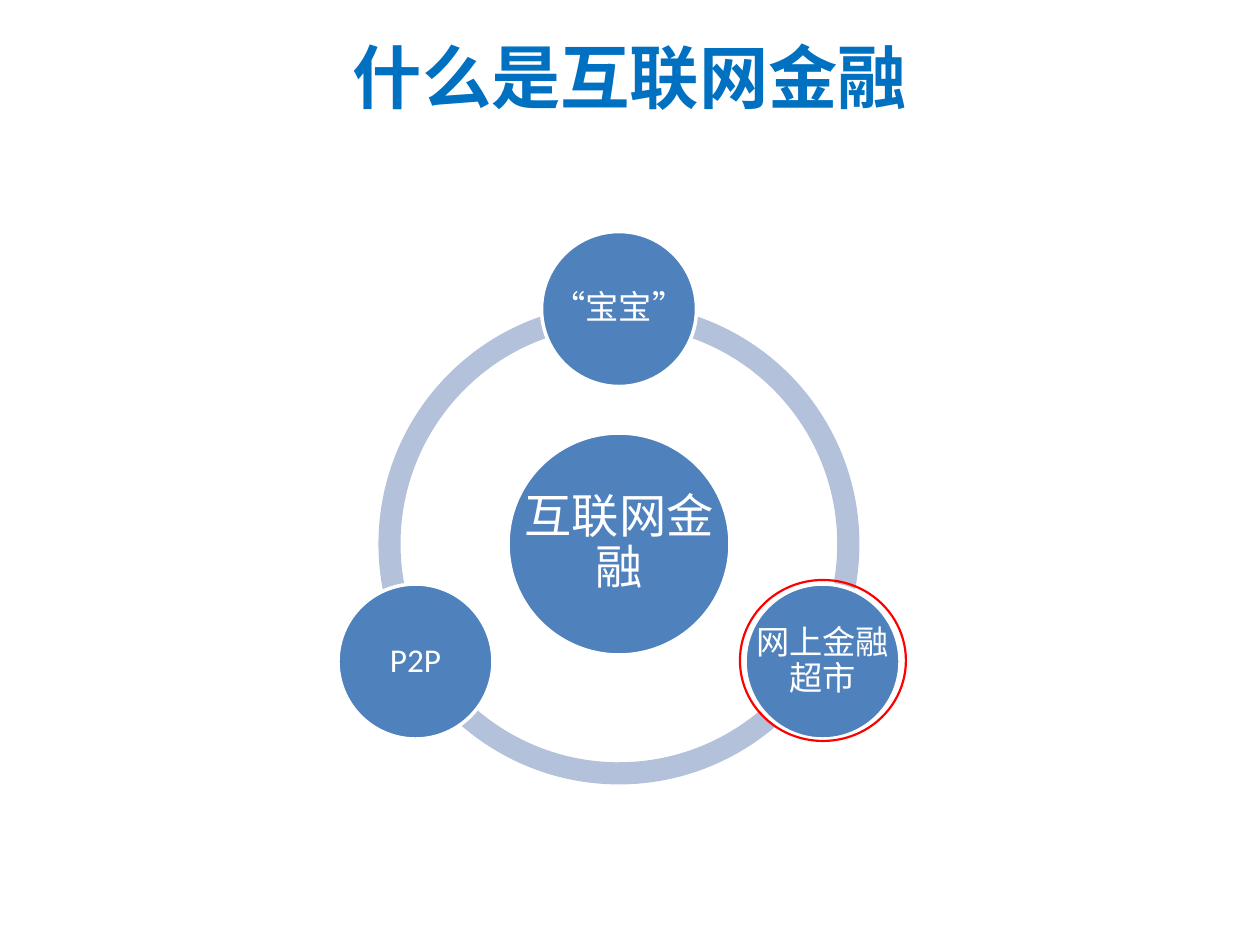
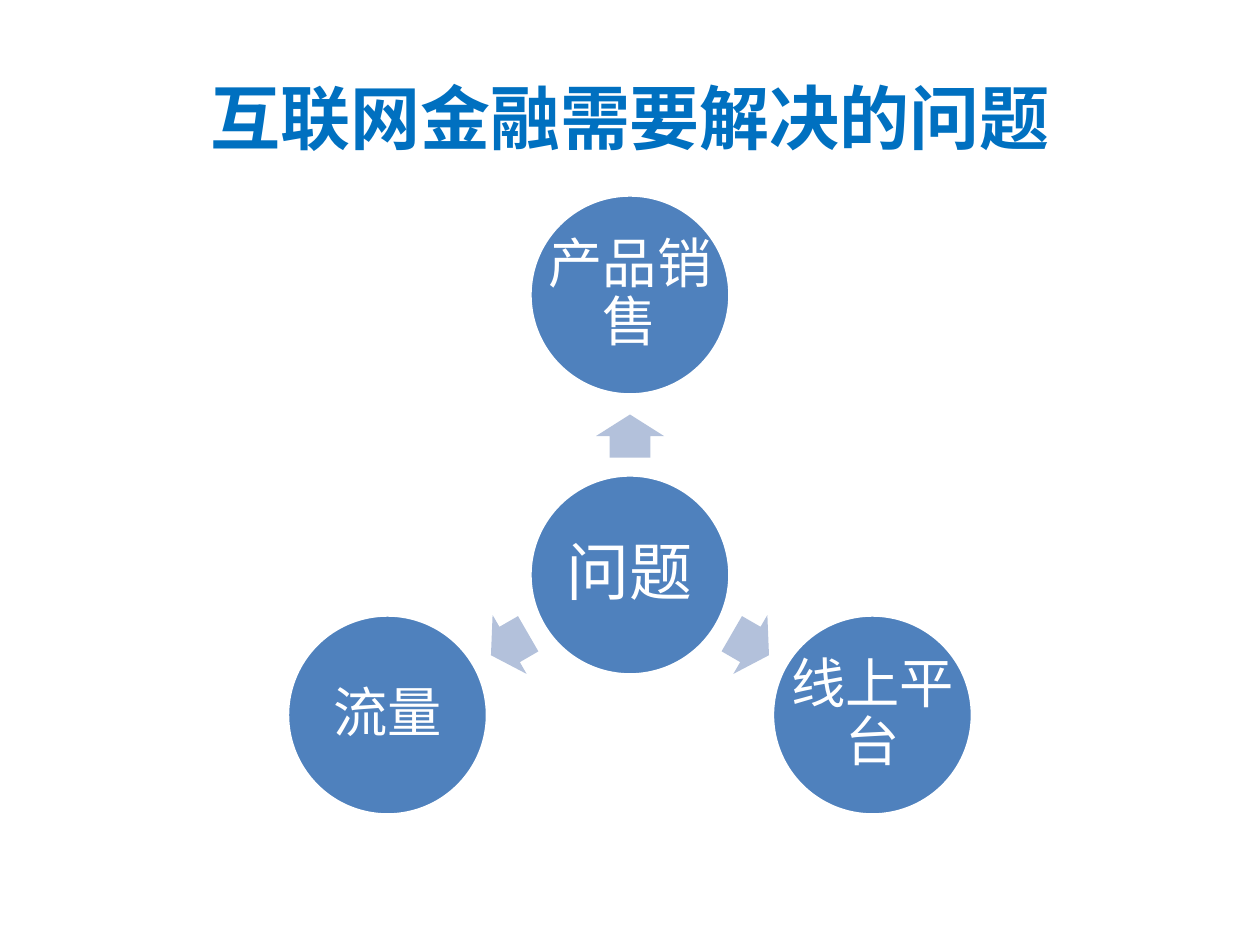
import math

import pptx
import pptx.dml.color
import pptx.enum.shapes
import pptx.enum.text
import pptx.util

# Content: lengths in px (126 to the inch), sizes in points, angles in degrees
FINANCE = {
    "title": ("什么是互联网金融", 39.6, (63, 18, 1134, 116)),
    "center": (619, 544),
    "orbit": 235,
    "hub": ("互联网金融", 222, 27),
    "nodes": ["“宝宝”", "网上金融超市", "P2P"],
    "node_format": (155, 19),
}
PROBLEMS = {
    "title": ("互联网金融需要解决的问题", 40, (63, 38, 1134, 158)),
    "center": (630, 575),
    "orbit": 280,
    "hub": ("问题", 200, 36),
    "nodes": ["产品销售", "线上平台", "流量"],
    "node_format": (200, 31),
}
RING_SIZE, RING_THICKNESS = 481, 0.046
RING_ARCS = [(90, 162), (18, 90), (162, 18)]
HIGHLIGHT = (740, 580, 166, 161)
ARROW_SIZE, ARROW_DISTANCE = (43, 68), 139

# Shared style
FONT = "Calibri"
TITLE_BLUE, NODE_BLUE, PALE_BLUE = "0070C0", "4F81BD", "B3C1DB"
WHITE, RED = "FFFFFF", "FF0000"
SHAPES = pptx.enum.shapes.MSO_SHAPE
SLIDE_SIZE = (1260, 945)
TEXT_INSET = 5


def px(length):
    return pptx.util.Emu(round(length * 914400 / 126))


def color(value):
    return pptx.dml.color.RGBColor.from_string(value)


def centered(center, width, height):
    return center[0] - width / 2, center[1] - height / 2, width, height


def around(center, distance, angle):
    radians = math.radians(angle)
    return (center[0] + distance * math.cos(radians),
            center[1] + distance * math.sin(radians))


def add_shape(slide, kind, box, fill=None, line=None, line_width=2):
    shape = slide.shapes.add_shape(kind, *map(px, box))
    shape.shadow.inherit = False
    if fill:
        shape.fill.solid()
        shape.fill.fore_color.rgb = color(fill)
    else:
        shape.fill.background()
    if line:
        shape.line.color.rgb = color(line)
        shape.line.width = pptx.util.Pt(line_width)
    else:
        shape.line.fill.background()
    return shape


def add_text(slide, text, box, size, text_color, bold=False, spacing=1.0):
    frame = slide.shapes.add_textbox(*map(px, box)).text_frame
    frame_format = {"word_wrap": True,
                    "vertical_anchor": pptx.enum.text.MSO_ANCHOR.MIDDLE}
    for side in ("left", "top", "right", "bottom"):
        frame_format["margin_" + side] = px(TEXT_INSET)
    for name, value in frame_format.items():
        setattr(frame, name, value)
    paragraph = frame.paragraphs[0]
    paragraph.alignment = pptx.enum.text.PP_ALIGN.CENTER
    paragraph.line_spacing = spacing
    run = paragraph.add_run()
    run.text = text
    font_format = {"name": FONT, "size": pptx.util.Pt(size), "bold": bold}
    for name, value in font_format.items():
        setattr(run.font, name, value)
    run.font.color.rgb = color(text_color)


def add_circle(slide, text, center, diameter, size):
    box = centered(center, diameter, diameter)
    add_shape(slide, SHAPES.OVAL, box, NODE_BLUE, WHITE)
    add_text(slide, text, box, size, WHITE, spacing=0.9)


def node_angles(content):
    """Clockwise from the top, evenly spread."""
    count = len(content["nodes"])
    return [-90 + 360 * index / count for index in range(count)]


def add_ring(slide, content):
    box = centered(content["center"], RING_SIZE, RING_SIZE)
    for start, end in RING_ARCS:
        arc = add_shape(slide, SHAPES.BLOCK_ARC, box, PALE_BLUE)
        # Angles are stored in 1/60000 degree, adjustments in 1/100000
        for index, value in enumerate((start * 0.6, end * 0.6, RING_THICKNESS)):
            arc.adjustments[index] = value


def add_arrows(slide, content):
    for angle in node_angles(content):
        center = around(content["center"], ARROW_DISTANCE, angle)
        arrow = add_shape(slide, SHAPES.RIGHT_ARROW,
                          centered(center, *ARROW_SIZE), PALE_BLUE)
        arrow.adjustments[0], arrow.adjustments[1] = 0.6, 0.5
        arrow.rotation = angle % 360


def add_radial_slide(presentation, content, add_links):
    slide = presentation.slides.add_slide(presentation.slide_layouts[6])
    title, title_size, title_box = content["title"]
    add_text(slide, title, title_box, title_size, TITLE_BLUE, bold=True)
    add_links(slide, content)
    hub, hub_diameter, hub_size = content["hub"]
    add_circle(slide, hub, content["center"], hub_diameter, hub_size)
    for text, angle in zip(content["nodes"], node_angles(content)):
        center = around(content["center"], content["orbit"], angle)
        add_circle(slide, text, center, *content["node_format"])
    return slide


def main():
    presentation = pptx.Presentation()
    presentation.slide_width, presentation.slide_height = map(px, SLIDE_SIZE)

    # Ring of finance types, with the online supermarket marked
    slide = add_radial_slide(presentation, FINANCE, add_ring)
    add_shape(slide, SHAPES.OVAL, HIGHLIGHT, line=RED, line_width=1.25)

    # Problems radiating from the hub
    add_radial_slide(presentation, PROBLEMS, add_arrows)
    presentation.save("out.pptx")


if __name__ == "__main__":
    main()
